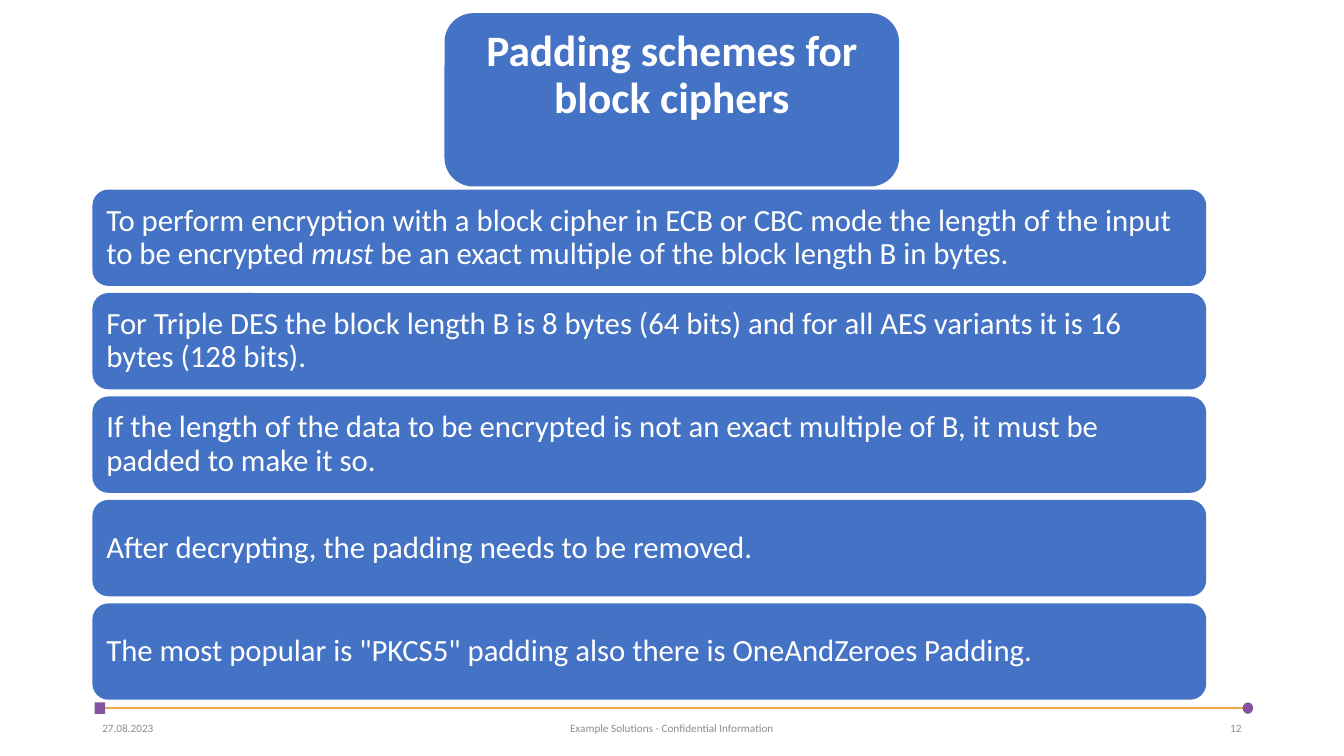
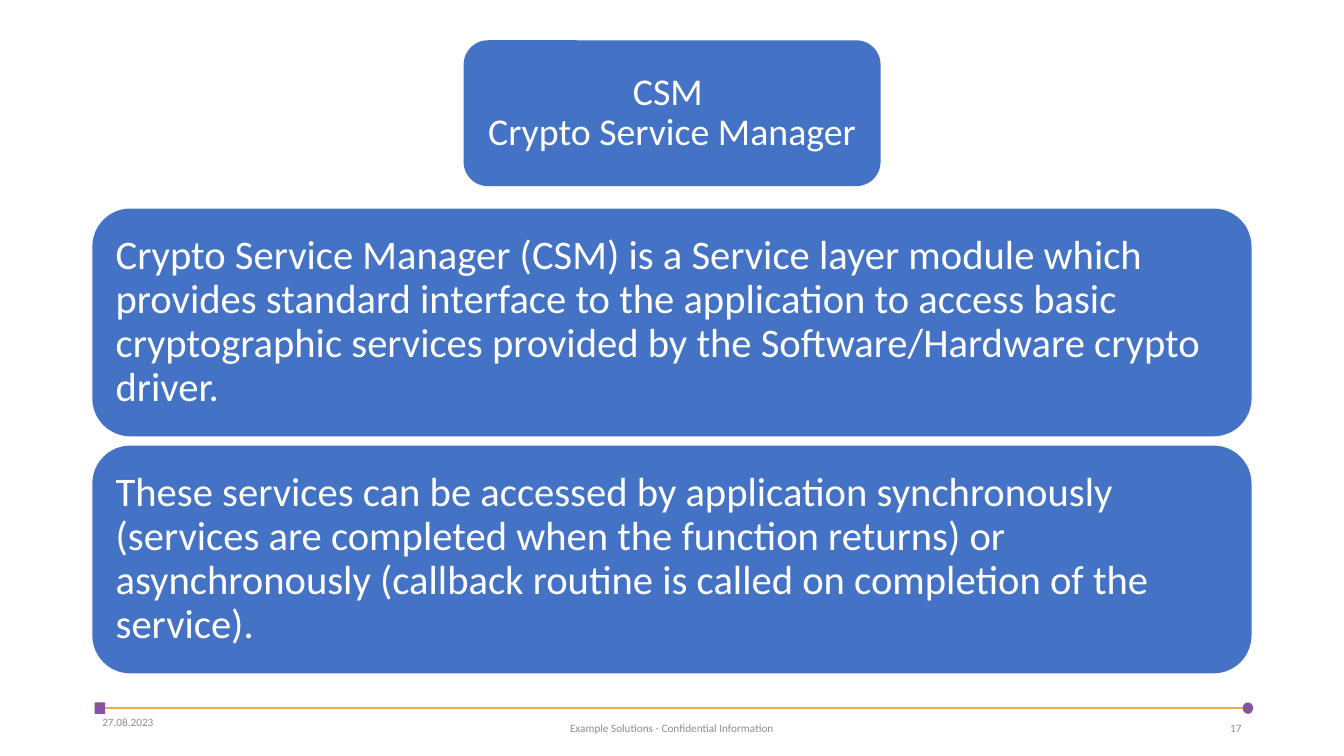
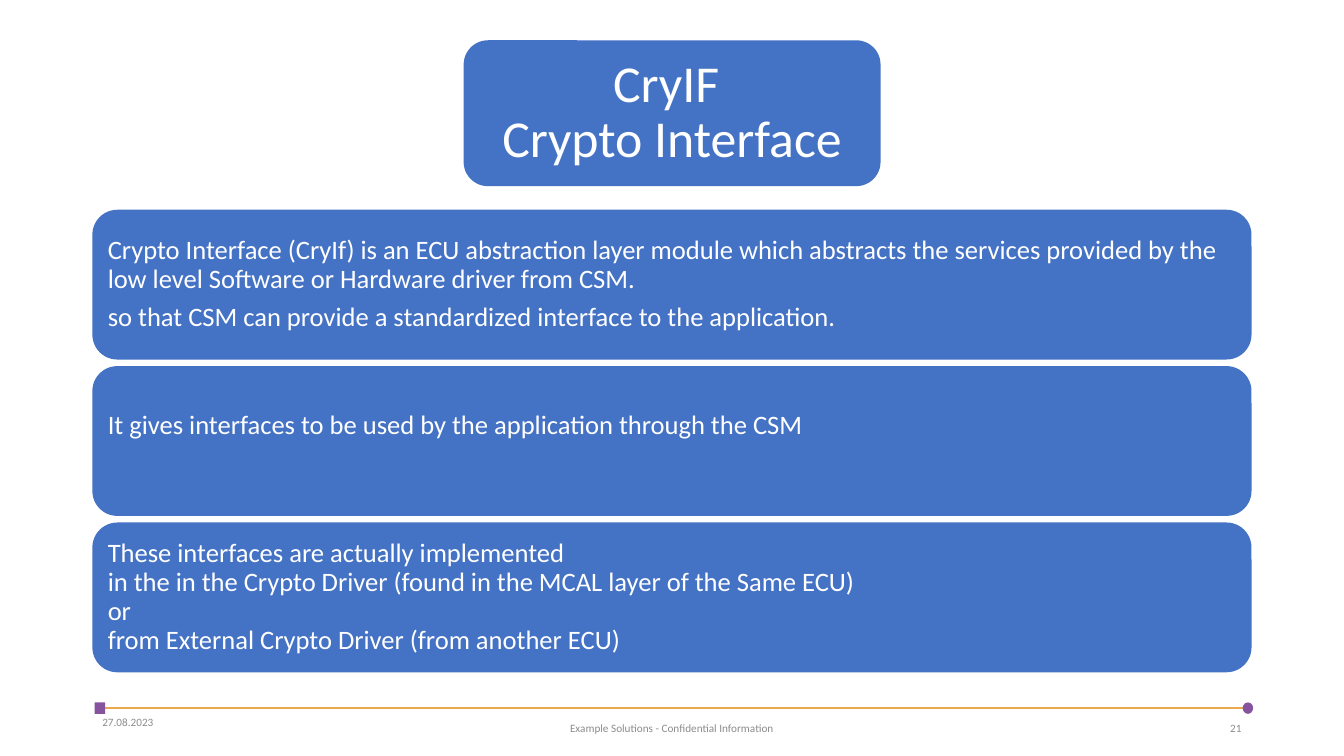
from dataclasses import dataclass

from lxml import etree
from pptx import Presentation
from pptx.dml.color import RGBColor
from pptx.enum.shapes import MSO_CONNECTOR as CONN, MSO_SHAPE as SHAPE
from pptx.enum.text import MSO_ANCHOR as ANCHOR, PP_ALIGN as ALIGN
from pptx.oxml.ns import qn
from pptx.util import Pt


@dataclass(frozen=True)
class Theme:
    font: str = "Calibri"
    box: RGBColor = RGBColor(0x44, 0x72, 0xC4)
    white: RGBColor = RGBColor(0xFF, 0xFF, 0xFF)
    rule: RGBColor = RGBColor(0xEB, 0xA9, 0x4A)
    marker: RGBColor = RGBColor(0x86, 0x54, 0x9F)
    footer: RGBColor = RGBColor(0x8C, 0x8C, 0x8C)
    footer_size: float = 8
    line_spacing: float = 0.9


T = Theme()
LEFT = 66
RULE_Y = 505.8
FOOTER_Y = 511.2

# Frames are (left, top, width, height); insets are (sides, top, bottom).
SLIDES = [
    dict(
        number="12", date_y=FOOTER_Y,
        title="Padding schemes for block ciphers",
        title_frame=(317.5, 9.4, 324.7, 123.8),
        title_size=31, title_bold=True, title_insets=(9.3, 4.6, 38.6),
        top=135.4, width=795.6, height=68.8, pitch=73.9, size=22, inset=6.6,
        boxes=[
            ["To perform encryption with a block cipher in ECB or CBC mode the length of "
             "the input to be encrypted *must* be an exact multiple of the block length "
             "B in bytes."],
            ["For Triple DES the block length B is 8 bytes (64 bits) and for all AES "
             "variants it is 16 bytes (128 bits)."],
            ["If the length of the data to be encrypted is not an exact multiple of B, "
             "it must be padded to make it so."],
            ["After decrypting, the padding needs to be removed."],
            ['The most popular is "PKCS5" padding also there is OneAndZeroes Padding.'],
        ],
    ),
    dict(
        number="17", date_y=FOOTER_Y - 4.5,
        title="CSM \nCrypto Service Manager",
        title_frame=(331.2, 28.8, 297.8, 104.2),
        title_size=27, title_bold=False, title_insets=(8.1, 4, 4),
        top=149, width=828, height=162.7, pitch=169.3, size=29, inset=8.7,
        boxes=[
            ["Crypto Service Manager (CSM) is a Service layer module which provides "
             "standard interface to the application to access basic cryptographic "
             "services provided by the Software/Hardware crypto driver."],
            ["These services can be accessed by application synchronously (services are "
             "completed when the function returns) or asynchronously (callback routine "
             "is called on completion of the service)."],
        ],
    ),
    dict(
        number="21", date_y=FOOTER_Y - 4.5,
        title="CryIF \nCrypto Interface",
        title_frame=(331.2, 28.8, 297.8, 104.2),
        title_size=37, title_bold=False, title_insets=(11, 5.6, 5.6),
        top=149.8, width=828, height=107, pitch=111.7, size=19, inset=5.8,
        boxes=[
            ["Crypto Interface (CryIf) is an ECU abstraction layer module which "
             "abstracts the services provided by the low level Software or Hardware "
             "driver from CSM.",
             "so that CSM can provide a standardized interface to the application."],
            ["It gives interfaces to be used by the application through the CSM"],
            ["These interfaces are actually implemented\n"
             "in the in the Crypto Driver (found in the MCAL layer of the Same ECU)\n"
             "or\n"
             "from External Crypto Driver (from another ECU)"],
        ],
        extra_bottom={1: 21},
    ),
]


def add_shape(s, kind, frame, fill):
    sp = s.shapes.add_shape(kind, *map(Pt, frame))
    sp.shadow.inherit = False
    sp.fill.solid()
    sp.fill.fore_color.rgb = fill
    sp.line.fill.background()
    return sp


def write(sp, paragraphs, size, color, align, insets, bold=False, spacing=T.line_spacing):
    """Fill a shape with paragraphs; *stars* mark italics, newlines break lines."""
    tf = sp.text_frame
    tf.word_wrap = True
    tf.vertical_anchor = ANCHOR.MIDDLE
    side, top, bottom = map(Pt, insets)
    tf.margin_left = tf.margin_right = side
    tf.margin_top, tf.margin_bottom = top, bottom
    for i, text in enumerate(paragraphs):
        p = tf.add_paragraph() if i else tf.paragraphs[0]
        p.alignment = align
        p.line_spacing = spacing
        if i:
            p.space_before = Pt(0.35 * size)
        p.font.name, p.font.size, p.font.bold = T.font, Pt(size), bold
        p.font.color.rgb = color
        for j, line in enumerate(text.split("\n")):
            if j:
                p.add_line_break()
            for k, piece in enumerate(line.split("*")):
                r = p.add_run()
                r.text = piece
                if k % 2:
                    r.font.italic = True


prs = Presentation()
prs.slide_width, prs.slide_height = Pt(960), Pt(540)

for spec in SLIDES:
    s = prs.slides.add_slide(prs.slide_layouts[6])

    rule = s.shapes.add_connector(CONN.STRAIGHT, Pt(71.3), Pt(RULE_Y), Pt(891.4), Pt(RULE_Y))
    rule.line.color.rgb = T.rule
    rule.line.width = Pt(1.2)
    etree.SubElement(rule.element.spPr, qn("a:effectLst"))
    for kind, x in ((SHAPE.RECTANGLE, 67.6), (SHAPE.OVAL, 887.6)):
        add_shape(s, kind, (x, RULE_Y - 4.1, 7.5, 8.2), T.marker)

    for text, x, y, width, align in (
        ("27.08.2023", LEFT, spec["date_y"], 216, ALIGN.LEFT),
        ("Example Solutions - Confidential Information", 318, FOOTER_Y, 324, ALIGN.CENTER),
        (spec["number"], 678, FOOTER_Y, 216, ALIGN.RIGHT),
    ):
        sp = s.shapes.add_textbox(Pt(x), Pt(y), Pt(width), Pt(18))
        write(sp, [text], T.footer_size, T.footer, align, (7.2, 3.6, 3.6), spacing=1.0)

    title = add_shape(s, SHAPE.ROUNDED_RECTANGLE, spec["title_frame"], T.box)
    write(title, [spec["title"]], spec["title_size"], T.white, ALIGN.CENTER,
          spec["title_insets"], spec["title_bold"])

    inset = spec["inset"]
    for i, paragraphs in enumerate(spec["boxes"]):
        frame = (LEFT, spec["top"] + i * spec["pitch"], spec["width"], spec["height"])
        box = add_shape(s, SHAPE.ROUNDED_RECTANGLE, frame, T.box)
        bottom = inset + spec.get("extra_bottom", {}).get(i, 0)
        write(box, paragraphs, spec["size"], T.white, ALIGN.LEFT, (inset, inset, bottom))

prs.save("out.pptx")
